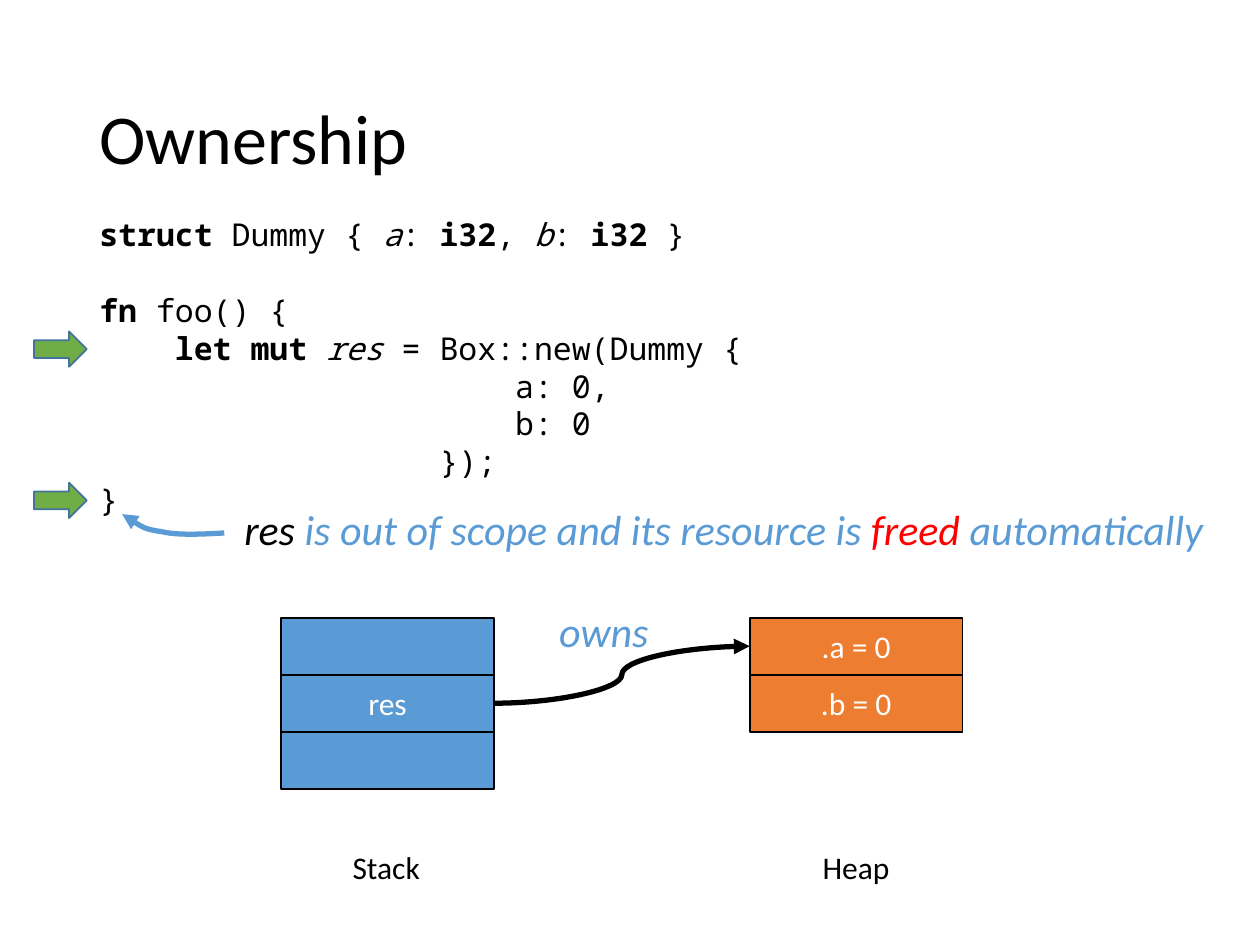
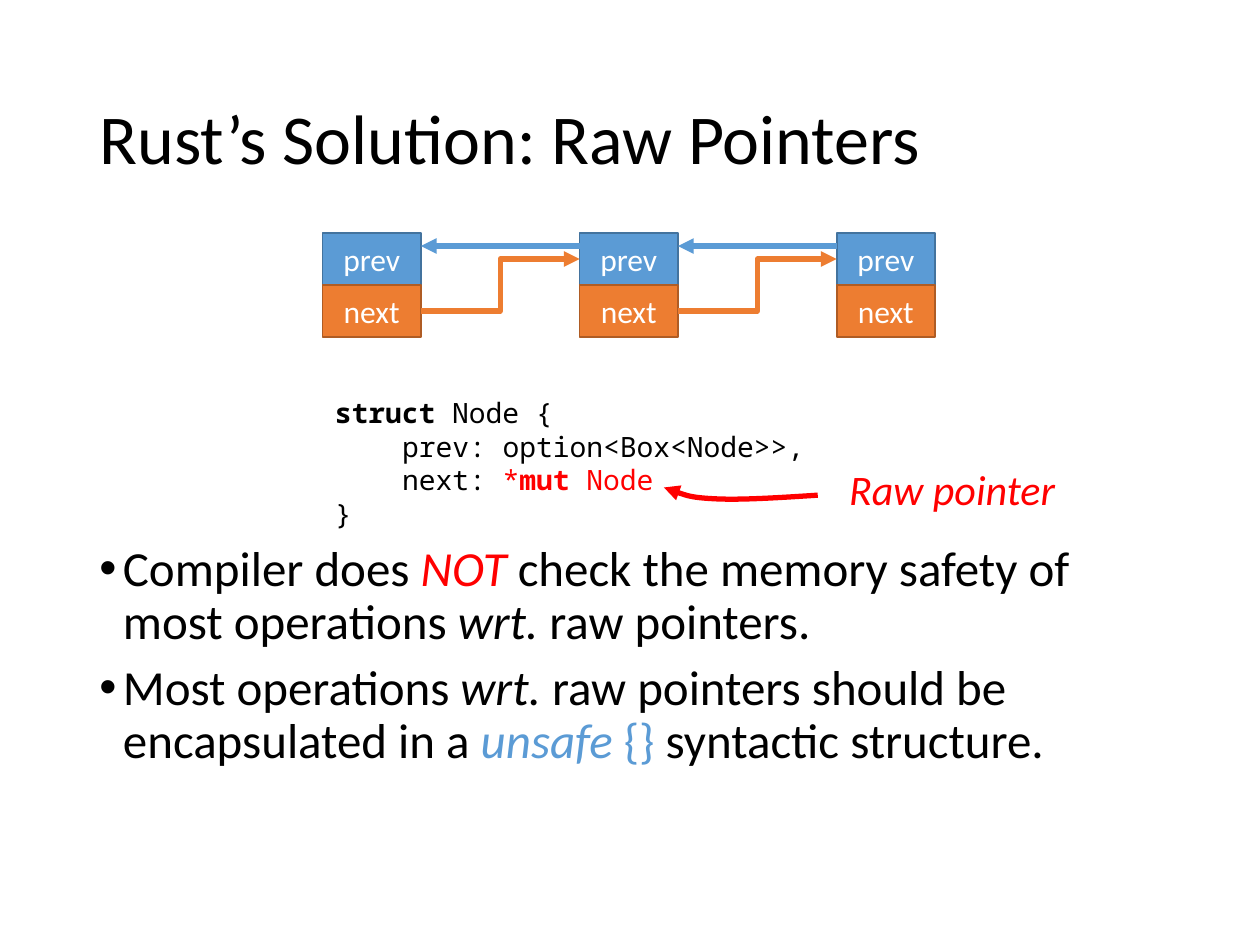
from pptx import Presentation
from pptx.dml.color import RGBColor
from pptx.enum.shapes import MSO_CONNECTOR as Connector, MSO_SHAPE as Preset
from pptx.enum.text import MSO_ANCHOR as Anchor, PP_ALIGN as Align
from pptx.oxml.ns import qn
from pptx.oxml.xmlchemy import OxmlElement
from pptx.util import Pt

BLACK, WHITE, RED = "000000", "FFFFFF", "FF0000"
BLUE, ORANGE, GREEN = "5B9BD5", "ED7D31", "70AD47"
DARK_BLUE, DARK_ORANGE = "43739E", "AF5C24"
SANS, MONO = "Calibri", "Noto Sans Mono"
TITLE_BOX = (49.7, 28.8, 620.6, 104.4)

# Each run is (text, flags, colour); flags are "b" and "i", colour defaults to black.
OWNERSHIP_CODE = [
    (0, 0, [("struct ", "b"), ("Dummy { ",), ("a", "i"), (": ",), ("i32", "b"), (", ",),
            ("b", "i"), (": ",), ("i32", "b"), (" }",)]),
    (0, 1, [("fn ", "b"), ("foo() {",)]),
    (4, 0, [("let mut ", "b"), ("res", "i"), (" = Box::new(Dummy {",)]),
    (22, 0, [("a: 0,",)]),
    (22, 0, [("b: 0",)]),
    (18, 0, [("});",)]),
    (0, 0, [("}",)]),
]
SCOPE_NOTE = [("res", "i"), (" is out of scope and its resource is ", "i", BLUE),
              ("freed", "i", RED), (" automatically", "i", BLUE)]
MEMORY = [
    ("Stack", 160.6, 194.4, BLUE, ["", "res", ""]),
    ("Heap", 428.4, 463, ORANGE, [".a = 0", ".b = 0"]),
]
STEP_TOPS = [189.4, 275.8]

NODE_CODE = [
    (0, 0, [("struct", "b"), (" Node {",)]),
    (4, 0, [("prev: option<Box<Node>>,",)]),
    (4, 0, [("next: ",), ("*", "", RED), ("mut", "b", RED), (" Node", "", RED)]),
    (0, 0, [("}",)]),
]
NODE_FIELDS = [("prev", BLUE, DARK_BLUE), ("next", ORANGE, DARK_ORANGE)]
POINTER_RULES = [
    [("Compiler does ",), ("NOT", "i", RED), (" check the memory safety of most operations ",),
     ("wrt. ", "i"), ("raw pointers.",)],
    [("Most operations ",), ("wrt.", "i"), (" raw pointers should be encapsulated in a ",),
     ("unsafe ", "i", BLUE), ("{}", "", BLUE), (" syntactic structure.",)],
]


def color(value):
    return RGBColor.from_string(value)


def points(values):
    return [Pt(value) for value in values]


def add_runs(paragraph, runs, size, font=SANS):
    for text, *style in runs:
        flags, tint = (style + ["", BLACK][len(style):])
        run = paragraph.add_run()
        run.text = text
        run.font.size, run.font.name = Pt(size), font
        run.font.bold, run.font.italic = "b" in flags, "i" in flags
        run.font.color.rgb = color(tint)


def add_text(slide, box, lines, size, font=SANS, wrap=True):
    shape = slide.shapes.add_textbox(*points(box))
    frame = shape.text_frame
    frame.word_wrap = wrap
    for number, runs in enumerate(lines):
        paragraph = frame.add_paragraph() if number else frame.paragraphs[0]
        add_runs(paragraph, runs, size, font)
    return frame


def add_title(slide, text):
    frame = add_text(slide, TITLE_BOX, [[(text,)]], 40)
    frame.vertical_anchor = Anchor.MIDDLE
    frame.paragraphs[0].line_spacing = 0.9


def add_code(slide, box, code, size):
    frame = add_text(slide, box, [runs for _, _, runs in code], size, MONO)
    for paragraph, (columns, gap_lines, _) in zip(frame.paragraphs, code):
        paragraph._p.get_or_add_pPr().set("marL", str(Pt(columns * size * 0.6)))
        paragraph.space_before = Pt(gap_lines * size * 1.2)


def add_bullets(slide, box, items, size):
    frame = add_text(slide, box, items, size)
    for paragraph in frame.paragraphs:
        paragraph.line_spacing, paragraph.space_before = 0.9, Pt(7.5)
        properties = paragraph._p.get_or_add_pPr()
        properties.set("marL", str(Pt(13.5)))
        properties.set("indent", str(Pt(-13.5)))
        for tag, name, value in [("a:buFont", "typeface", "Arial"), ("a:buChar", "char", "•")]:
            bullet = OxmlElement(tag)
            bullet.set(name, value)
            properties.append(bullet)


def add_block(slide, preset, box, fill, outline, label=""):
    shape = slide.shapes.add_shape(preset, *points(box))
    shape.shadow.inherit = False
    shape.fill.solid()
    shape.fill.fore_color.rgb = color(fill)
    shape.line.color.rgb = color(outline)
    shape.line.width = Pt(1)
    if label:
        shape.text_frame.vertical_anchor = Anchor.MIDDLE
        paragraph = shape.text_frame.paragraphs[0]
        paragraph.alignment = Align.CENTER
        add_runs(paragraph, [(label, "", WHITE)], 18)


def style_arrow(shape, tint):
    shape.line.color.rgb = color(tint)
    shape.line.width = Pt(3)
    head = OxmlElement("a:tailEnd")
    head.set("type", "triangle")
    shape.line._get_or_add_ln().append(head)


def add_arrow(slide, kind, start, end, tint):
    arrow = slide.shapes.add_connector(kind, *points(start + end))
    style_arrow(arrow, tint)
    arrow._element.spPr.append(OxmlElement("a:effectLst"))


def add_curved_arrow(slide, start, bends, tint):
    builder = slide.shapes.build_freeform(*points(start))
    builder.add_line_segments([points(bend) for bend in bends], close=False)
    shape = builder.convert_to_shape()
    segments = list(shape._element.iter(qn("a:lnTo")))
    for first in range(0, len(segments), 3):
        curve = OxmlElement("a:cubicBezTo")
        segments[first].addprevious(curve)
        for segment in segments[first:first + 3]:
            curve.append(segment[0])
            segment.getparent().remove(segment)
    shape.fill.background()
    shape.shadow.inherit = False
    style_arrow(shape, tint)


def build_ownership(slide):
    add_title(slide, "Ownership")
    add_code(slide, (49.7, 119.5, 593.3, 181.4), OWNERSHIP_CODE, 18)
    for top in STEP_TOPS:
        add_block(slide, Preset.RIGHT_ARROW, (19.4, top, 30.2, 20.2), GREEN, DARK_BLUE)

    top, width, height = 353, 121.7, 32.6
    for name, left, name_left, fill, cells in MEMORY:
        for row, label in enumerate(cells):
            box = (left, top + row * height, width, height)
            add_block(slide, Preset.RECTANGLE, box, fill, BLACK, label)
        add_text(slide, (name_left, 481, 53.3, 28.8), [[(name,)]], 18, wrap=False)
    stack_left, heap_left = MEMORY[0][1], MEMORY[1][1]
    add_arrow(slide, Connector.CURVE, (stack_left + width, top + 1.5 * height),
              (heap_left, top + 0.5 * height), BLACK)

    add_text(slide, (312.5, 342.7, 67, 36), [[("owns", "i", BLUE)]], 24, wrap=False)
    add_text(slide, (132.5, 284.4, 563, 36), [SCOPE_NOTE], 24, wrap=False)
    add_curved_arrow(slide, (128.2, 304.6), [
        (115.2, 305.3), (101.5, 306), (92.2, 303.8),
        (82.1, 302.4), (76.3, 298.1), (69.8, 293.8)], BLUE)


def build_raw_pointers(slide):
    add_title(slide, "Rust’s Solution: Raw Pointers")
    add_bullets(slide, (49.7, 307.4, 620.6, 159.1), POINTER_RULES, 28)

    top, width, height = 133.2, 56.2, 29.7
    node_lefts = [184.3 + 146.9 * node for node in range(3)]
    for left in node_lefts:
        for row, (label, fill, outline) in enumerate(NODE_FIELDS):
            box = (left, top + row * height, width, height)
            add_block(slide, Preset.RECTANGLE, box, fill, outline, label)
    for left, next_left in zip(node_lefts, node_lefts[1:]):
        right = left + width
        add_arrow(slide, Connector.ELBOW, (right, top + 1.5 * height),
                  (next_left, top + 0.5 * height), ORANGE)
        add_arrow(slide, Connector.STRAIGHT, (next_left, top + 0.25 * height),
                  (right, top + 0.25 * height), BLUE)

    add_code(slide, (184.3, 222.5, 315.4, 85), NODE_CODE, 16)
    add_text(slide, (478.1, 261.4, 133.9, 36), [[("Raw pointer", "i", RED)]], 24, wrap=False)
    add_curved_arrow(slide, (467.3, 283), [
        (445.7, 284.4), (424.1, 285.8), (409, 285.1),
        (394.6, 284.4), (386.6, 281.5), (379.4, 278.6)], RED)


def main():
    presentation = Presentation()
    presentation.slide_width, presentation.slide_height = Pt(720), Pt(540)
    for build in (build_ownership, build_raw_pointers):
        build(presentation.slides.add_slide(presentation.slide_layouts[6]))
    presentation.save("out.pptx")


if __name__ == "__main__":
    main()
